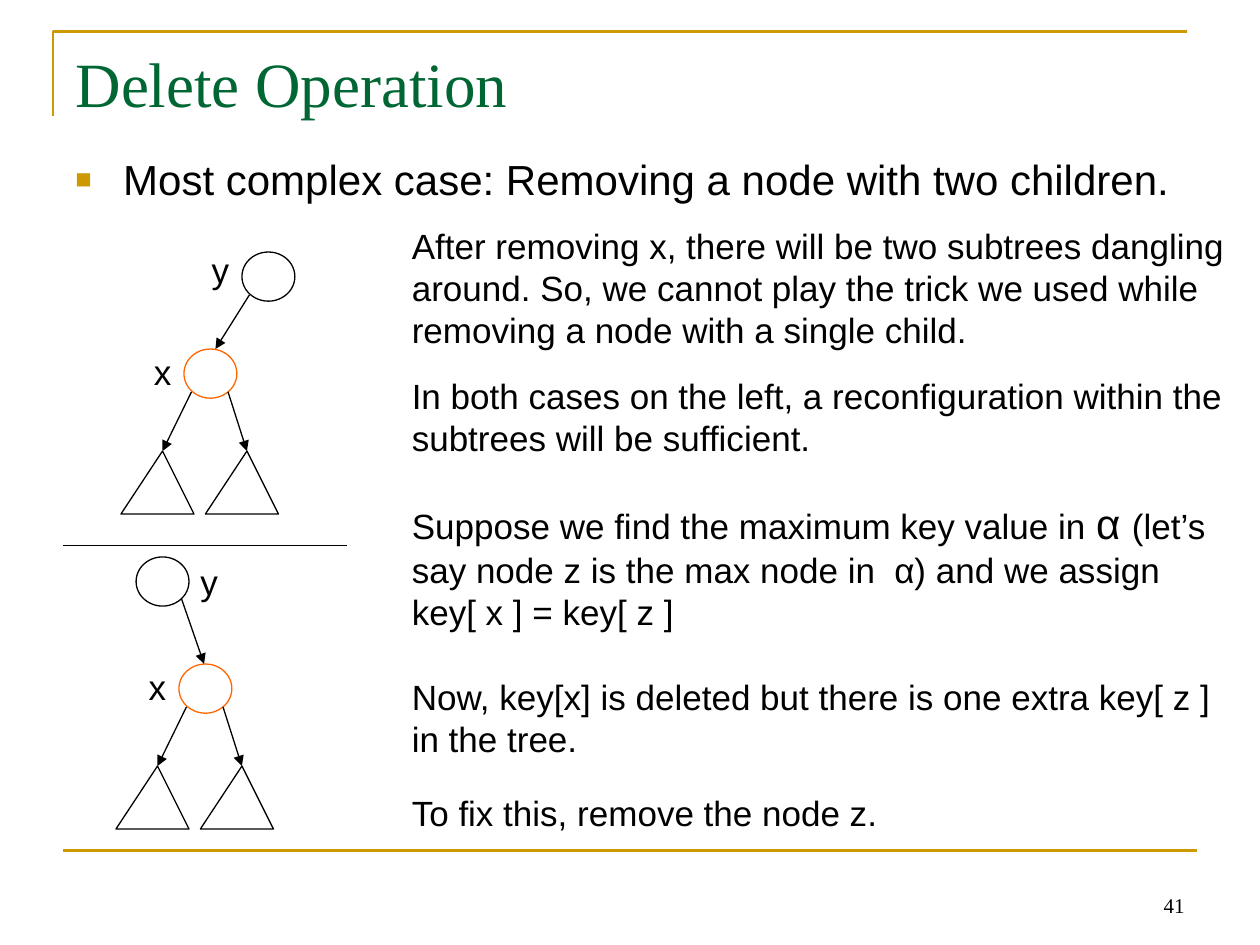
import pptx
import pptx.util
import pptx.dml.color
import pptx.enum.shapes
import pptx.enum.text
import pptx.oxml
import pptx.oxml.ns

COLORS = {"gold": "CC9900", "green": "006633", "black": "000000", "orange": "FF6600"}
WIDTH, HEIGHT = 10, 7.5
NODE_W, NODE_H = 0.42, 0.39
TRIANGLE_W, TRIANGLE_H = 0.58, 0.5
SUBTREE_DROP = 0.81
LABEL_W, LABEL_H = 0.34, 0.43
NOTES_LEFT, NOTES_W = 3.17, 6.67
NOTES = [
    (1.73, 1.1, [[("After removing x, there will be two subtrees dangling around. So, we cannot "
                   "play the trick we used while removing a node with a single child.", 20)]]),
    (2.92, 0.77, [[("In both cases on the left, a reconfiguration within the subtrees "
                    "will be sufficient.", 20)]]),
    (3.9, 1.18, [[("Suppose we find the maximum key value in ", 20), ("α ", 24),
                  ("(let’s say node z is the max node in ", 20), (" ", 18),
                  ("α) and we assign", 20)],
                 [("key[ x ] = key[ z ]", 20)]]),
    (5.31, 0.77, [[("Now, key[x] is deleted but there is one extra key[ z ] in the tree.", 20)]]),
    (6.23, 0.44, [[("To fix this, remove the node z.", 20)]]),
]


def inches(*lengths):
    return [pptx.util.Inches(v) for v in lengths]


def rgb(name):
    return pptx.dml.color.RGBColor.from_string(COLORS[name])


def add_xml(parent, tag, **attributes):
    child = pptx.oxml.parse_xml(f"<a:{tag} {pptx.oxml.ns.nsdecls('a')}/>")
    for key, value in attributes.items():
        child.set(key, value)
    parent.append(child)
    return child


def add_run(p, text, size, font="Arial", color="black"):
    r = p.add_run()
    r.text = text
    for key, value in {"name": font, "size": pptx.util.Pt(size)}.items():
        setattr(r.font, key, value)
    r.font.color.rgb = rgb(color)


def add_text(s, box, paragraphs, align="LEFT", anchor="TOP", wrap=True, font="Arial"):
    """Add a text box; each paragraph is a list of (text, size) runs."""
    tf = s.shapes.add_textbox(*inches(*box)).text_frame
    tf.word_wrap = wrap
    tf.vertical_anchor = getattr(pptx.enum.text.MSO_ANCHOR, anchor)
    for i, runs in enumerate(paragraphs):
        p = tf.add_paragraph() if i else tf.paragraphs[0]
        p.alignment = getattr(pptx.enum.text.PP_ALIGN, align)
        for text, size in runs:
            add_run(p, text, size, font)
    return tf


def style_outline(sp, color, width=0.75):
    sp.shadow.inherit = False
    sp.fill.background()
    sp.line.color.rgb = rgb(color)
    sp.line.width = pptx.util.Pt(width)


def add_path(s, points, color, width=0.75, close=True):
    start, *rest = [inches(*point) for point in points]
    builder = s.shapes.build_freeform(*start)
    builder.add_line_segments(rest, close=close)
    style_outline(builder.convert_to_shape(), color, width)


def add_line(s, start, end, color="black", width=0.75, arrow=False):
    c = s.shapes.add_connector(pptx.enum.shapes.MSO_CONNECTOR.STRAIGHT, *inches(*start, *end))
    c.line.color.rgb = rgb(color)
    c.line.width = pptx.util.Pt(width)
    if arrow:
        add_xml(c.line._get_or_add_ln(), "tailEnd", type="triangle")
    add_xml(c._element.spPr, "effectLst")


def add_node(s, x, y, color):
    oval = s.shapes.add_shape(pptx.enum.shapes.MSO_SHAPE.OVAL, *inches(x, y, NODE_W, NODE_H))
    style_outline(oval, color)


def add_label(s, text, x, y):
    add_text(s, (x, y, LABEL_W, LABEL_H), [[(text, 20)]], align="CENTER", wrap=False)


def add_subtree(s, apex_x, top):
    left, bottom = apex_x - 0.33, top + TRIANGLE_H
    add_path(s, [(apex_x, top), (left, bottom), (left + TRIANGLE_W, bottom)], "black")


def add_tree(s, node, parent, parent_label, link):
    """Draw node x with two subtrees under its parent y; link is the arrow's (start, end)."""
    x, y = node
    add_label(s, "x", x - LABEL_W, y - 0.04)
    add_node(s, x, y, "orange")
    for start_dx, apex_dx in ((0.06, -0.17), (0.35, 0.5)):
        apex = (x + apex_dx, y + SUBTREE_DROP)
        add_subtree(s, *apex)
        add_line(s, (x + start_dx, y + 0.34), apex, arrow=True)
    add_node(s, *parent, "black")
    add_label(s, "y", *parent_label)
    add_line(s, *link, arrow=True)


def add_frame(s):
    add_path(s, [(0.42, 0.92), (0.42, 0.25), (9.42, 0.25)], "gold", 1.5, close=False)
    add_line(s, (0.05 * WIDTH, 0.9 * HEIGHT), (0.95 * WIDTH, 0.9 * HEIGHT), "gold", 1.5)
    add_text(s, (7.17, 6.83, 2.33, 0.5), [[("41", 12)]], "RIGHT", "BOTTOM",
             font="Times New Roman")


def add_title(s):
    title = s.shapes.title
    box = inches(0.5, 0.3, 9, 1.25)
    for key, value in zip(("left", "top", "width", "height"), box):
        setattr(title, key, value)
    tf = title.text_frame
    tf.vertical_anchor = pptx.enum.text.MSO_ANCHOR.TOP
    p = tf.paragraphs[0]
    p.alignment = pptx.enum.text.PP_ALIGN.LEFT
    add_run(p, "Delete Operation", 36, "Times New Roman", "green")


def add_bullet(s):
    tf = add_text(s, (0.5, 1.17, 9, 0.5),
                  [[("Most complex case: Removing a node with two children.", 24)]])
    pPr = tf.paragraphs[0]._p.get_or_add_pPr()
    indent = pptx.util.Inches(0.38)
    pPr.set("marL", str(indent))
    pPr.set("indent", str(-indent))
    add_xml(add_xml(pPr, "buClr"), "srgbClr", val=COLORS["gold"])
    add_xml(pPr, "buSzPct", val="65000")
    add_xml(pPr, "buFont", typeface="Arial")
    add_xml(pPr, "buChar", char="■")


def main():
    prs = pptx.Presentation()
    prs.slide_width, prs.slide_height = inches(WIDTH, HEIGHT)
    s = prs.slides.add_slide(prs.slide_layouts[5])
    add_frame(s)
    add_title(s)
    add_bullet(s)
    add_tree(s, (1.46, 2.77), (1.92, 2), (1.58, 1.92), ((1.98, 2.34), (1.71, 2.77)))
    add_line(s, (0.5, 4.33), (2.75, 4.33))
    add_tree(s, (1.42, 5.27), (1.08, 4.42), (1.49, 4.4), ((1.44, 4.75), (1.62, 5.27)))
    for top, height, paragraphs in NOTES:
        add_text(s, (NOTES_LEFT, top, NOTES_W, height), paragraphs)
    prs.save("out.pptx")


if __name__ == "__main__":
    main()
